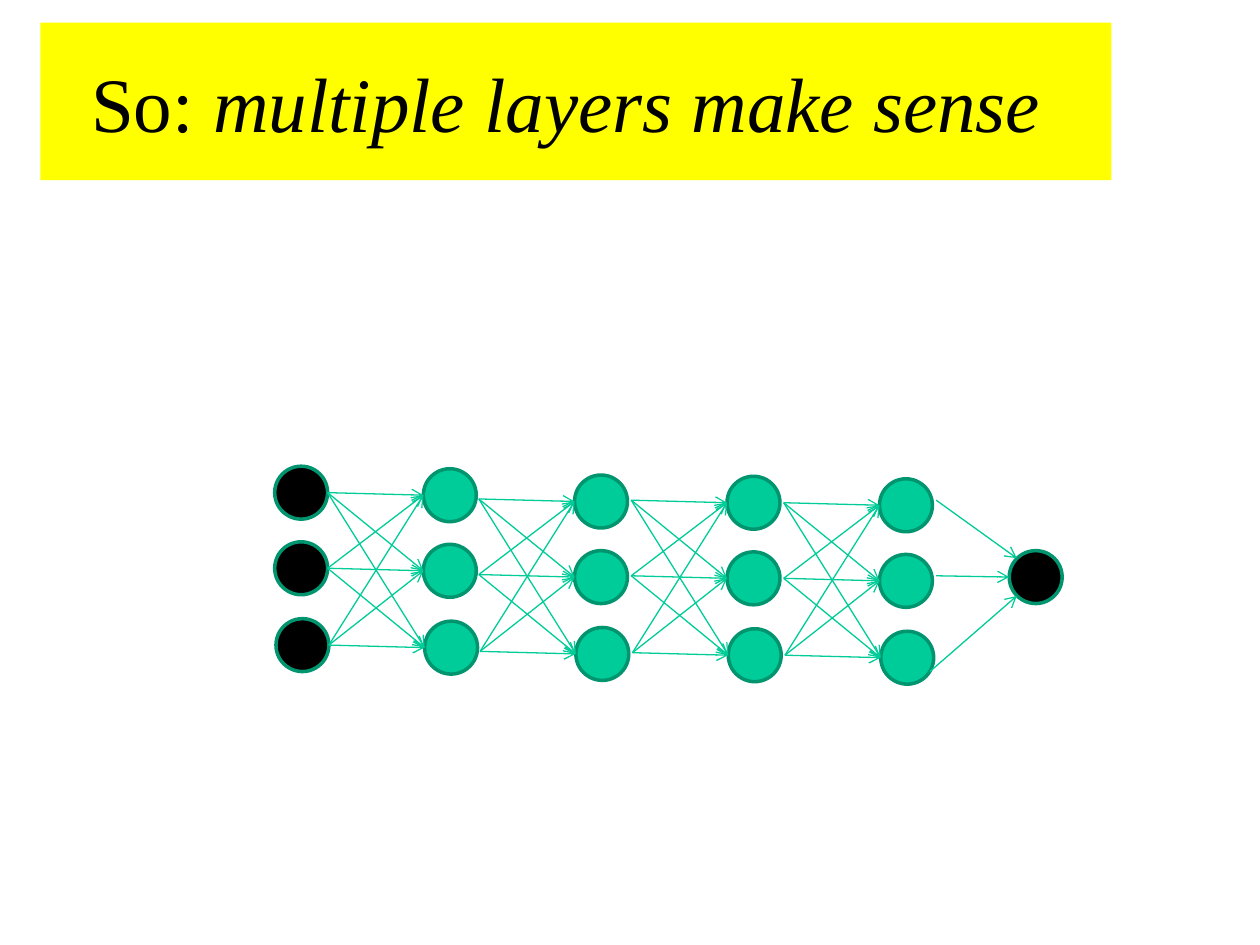
from dataclasses import dataclass
from itertools import product

from lxml.etree import SubElement
from pptx import Presentation
from pptx.dml.color import RGBColor
from pptx.enum.shapes import MSO_CONNECTOR, MSO_SHAPE
from pptx.enum.text import MSO_ANCHOR, MSO_AUTO_SIZE, PP_ALIGN
from pptx.oxml.ns import qn
from pptx.slide import Slide
from pptx.util import Pt

BLACK = RGBColor(0x00, 0x00, 0x00)
YELLOW = RGBColor(0xFF, 0xFF, 0x00)
GREEN = RGBColor(0x00, 0xCC, 0x99)
DARK_GREEN = RGBColor(0x00, 0x95, 0x6F)
ARROW_GREEN = RGBColor(0x00, 0xCC, 0x98)

FONT = "Times New Roman"
DIAMETER = 30.24
UNIT_OFFSETS = ((0, 0), (0, 43.2), (0.72, 87.12))
ARROW_RUN = 54.72
ARROW_RISE = 1.44


@dataclass(frozen=True)
class Layer:
    """A column of units, placed by the corner of its first unit."""
    left: float
    top: float
    fill: RGBColor


@dataclass(frozen=True)
class Arrow:
    """A straight arrow between two points."""
    start: tuple[float, float]
    end: tuple[float, float]


INPUT_LAYER = Layer(156.96, 266.4, BLACK)
HIDDEN_LAYERS = (
    Layer(241.92, 267.84, GREEN),
    Layer(328.32, 271.44, GREEN),
    Layer(415.44, 272.16, GREEN),
    Layer(502.56, 273.6, GREEN),
)
OUTPUT_UNIT = (576.72, 314.64)
OUTPUT_ARROWS = (
    Arrow((534.96, 285.84), (581.04, 318.96)),
    Arrow((534.96, 329.04), (576.72, 329.76)),
    Arrow((531.36, 383.76), (581.04, 340.56)),
)


def add_title(slide: Slide) -> None:
    """Fill the title placeholder and give it a yellow band."""
    title = slide.shapes.title
    title.left, title.top, title.width, title.height = Pt(23.04), Pt(12.96), Pt(612), Pt(90)
    title.fill.solid()
    title.fill.fore_color.rgb = YELLOW
    frame = title.text_frame
    frame.word_wrap = True
    frame.auto_size = MSO_AUTO_SIZE.NONE
    frame.vertical_anchor = MSO_ANCHOR.MIDDLE
    heading = frame.paragraphs[0]
    heading.text = "So: "
    heading.alignment = PP_ALIGN.CENTER
    claim = heading.add_run()
    claim.text = "multiple layers make sense "
    claim.font.italic = True
    for run in heading.runs:
        run.font.name = FONT
        run.font.size = Pt(44)
        run.font.color.rgb = BLACK


def add_unit(slide: Slide, left: float, top: float, fill: RGBColor) -> None:
    """Draw one unit of the network."""
    unit = slide.shapes.add_shape(
        MSO_SHAPE.OVAL, Pt(left), Pt(top), Pt(DIAMETER), Pt(DIAMETER))
    unit.shadow.inherit = False
    unit.fill.solid()
    unit.fill.fore_color.rgb = fill
    unit.line.color.rgb = DARK_GREEN
    unit.line.width = Pt(2)


def add_layer(slide: Slide, layer: Layer) -> None:
    """Draw the units of one layer."""
    for dx, dy in UNIT_OFFSETS:
        add_unit(slide, layer.left + dx, layer.top + dy, layer.fill)


def add_arrow(slide: Slide, arrow: Arrow) -> None:
    """Draw a thin line with an open arrowhead at its end."""
    connection = slide.shapes.add_connector(
        MSO_CONNECTOR.STRAIGHT, *map(Pt, arrow.start + arrow.end))
    connection.line.color.rgb = ARROW_GREEN
    connection.line.width = Pt(0.74)
    SubElement(connection.line._get_or_add_ln(), qn("a:tailEnd"), type="arrow")
    SubElement(connection._element.spPr, qn("a:effectLst"))


def connect_into(slide: Slide, layer: Layer) -> None:
    """Draw arrows from every preceding unit to every unit of the layer."""
    middle = layer.top + DIAMETER / 2
    for (start_dx, start_dy), (end_dx, end_dy) in product(UNIT_OFFSETS, repeat=2):
        start = (layer.left - ARROW_RUN + start_dx, middle - ARROW_RISE + start_dy)
        add_arrow(slide, Arrow(start, (layer.left + end_dx, middle + end_dy)))


def main() -> None:
    """Build the slide and save it."""
    deck = Presentation()
    deck.slide_width, deck.slide_height = Pt(720), Pt(540)
    slide = deck.slides.add_slide(deck.slide_layouts.get_by_name("Title Only"))
    add_title(slide)
    add_layer(slide, INPUT_LAYER)
    for layer in HIDDEN_LAYERS:
        add_layer(slide, layer)
        connect_into(slide, layer)
    add_unit(slide, *OUTPUT_UNIT, BLACK)
    for arrow in OUTPUT_ARROWS:
        add_arrow(slide, arrow)
    deck.save("out.pptx")


main()
